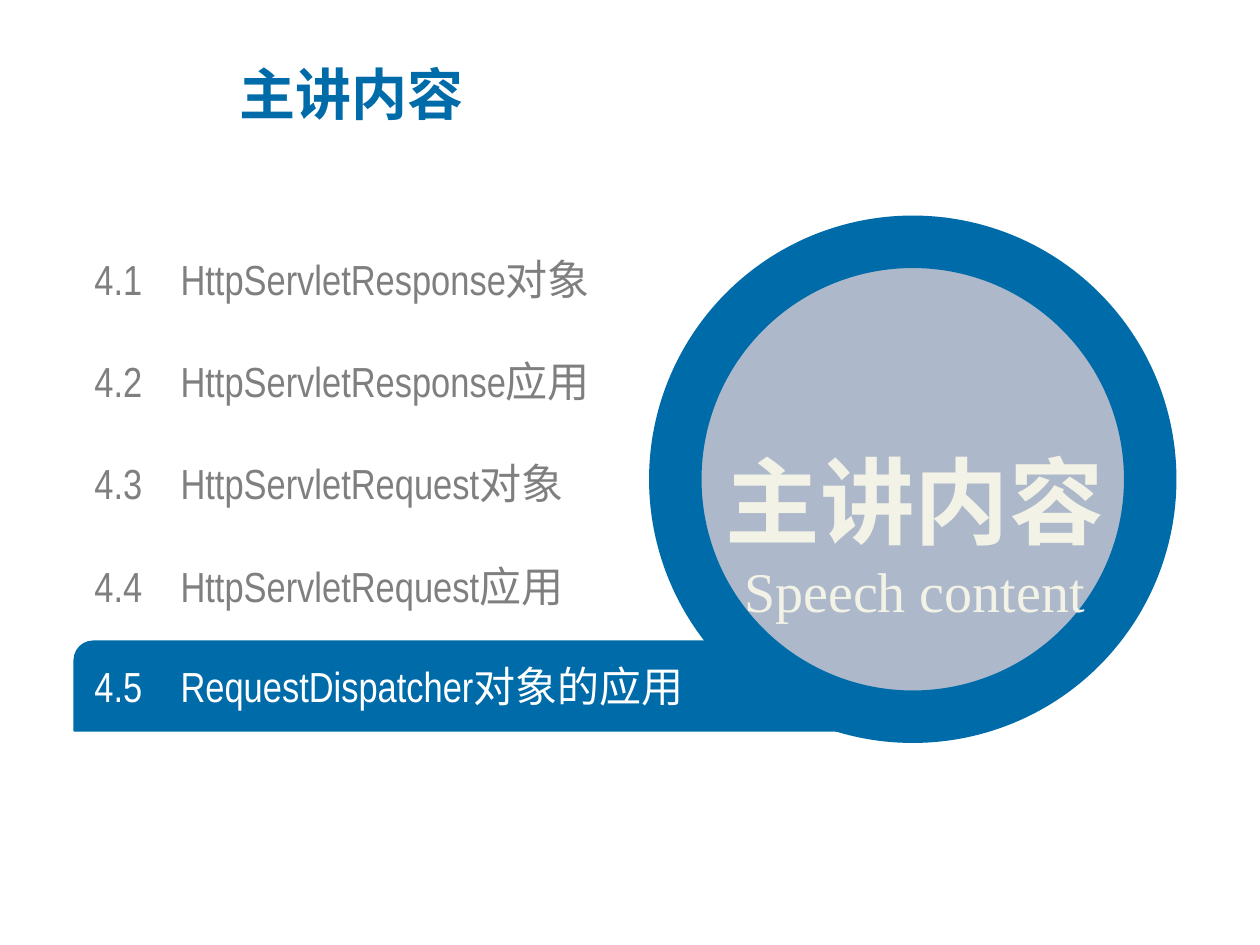
from lxml.etree import SubElement
from pptx import Presentation
from pptx.dml.color import RGBColor as RGB
from pptx.enum.shapes import MSO_SHAPE as SHAPE
from pptx.enum.text import MSO_ANCHOR as ANCHOR, PP_ALIGN as ALIGN
from pptx.oxml.ns import qn
from pptx.util import Pt

HUES = {"blue": "006BA9", "mist": "ADB9CA", "cream": "F2F2E6",
        "gray": "7F7F7F", "white": "FFFFFF"}
HAN = "Noto Sans CJK SC"
LATIN = "Arial Narrow"
TOPICS = ["HttpServletResponse对象", "HttpServletResponse应用",
          "HttpServletRequest对象", "HttpServletRequest应用",
          "RequestDispatcher对象的应用"]
ROW_TOP, ROW_STEP, ROW_HIGH = 144.7, 58.5, 28.8
BAR = (42.5, 366.5, 447.8, 51.1)


def hue(name):
    return RGB.from_string(HUES[name])


def add_form(slide, kind, box, fill, width):
    form = slide.shapes.add_shape(kind, *map(Pt, box))
    form.shadow.inherit = False
    form.fill.solid()
    form.fill.fore_color.rgb = hue(fill)
    form.line.color.rgb = hue("blue")
    form.line.width = Pt(width)
    return form


def add_frame(slide, box, inset=True):
    frame = slide.shapes.add_textbox(*map(Pt, box)).text_frame
    frame.word_wrap = True
    frame.vertical_anchor = ANCHOR.MIDDLE
    if not inset:
        frame.margin_left = frame.margin_right = 0
        frame.margin_top = frame.margin_bottom = 0
    return frame


def add_run(para, text, size, color, face=HAN, bold=False):
    run = para.add_run()
    run.text = text
    font = run.font
    font.size, font.name, font.bold = Pt(size), face, bold
    font.color.rgb = hue(color)
    SubElement(run._r.get_or_add_rPr(), qn("a:ea"), typeface=HAN)


def add_topic(slide, top, num, text, color):
    para = add_frame(slide, (54, top, 374.4, ROW_HIGH), False).paragraphs[0]
    tabs = SubElement(para._p.get_or_add_pPr(), qn("a:tabLst"))
    SubElement(tabs, qn("a:tab"), pos=str(Pt(49.2)), algn="l")
    add_run(para, f"4.{num}\t", 24, color, LATIN)
    add_run(para, text, 24, color, LATIN)


def add_title(slide):
    para = add_frame(slide, (129.6, 31, 502.6, 43.9)).paragraphs[0]
    add_run(para, "主讲内容", 32, "blue", bold=True)


def add_list(slide):
    bar = add_form(slide, SHAPE.ROUND_2_DIAG_RECTANGLE, BAR, "blue", 1)
    bar.adjustments[0], bar.adjustments[1] = 0.21, 0
    *rest, live = TOPICS
    for i, text in enumerate(rest):
        add_topic(slide, ROW_TOP + i * ROW_STEP, i + 1, text, "gray")
    mid = BAR[1] + (BAR[3] - ROW_HIGH) / 2
    add_topic(slide, mid, len(TOPICS), live, "white")


def add_disc(slide):
    add_form(slide, SHAPE.OVAL, (385.9, 138.2, 271.4, 271.4), "mist", 30)
    frame = add_frame(slide, (382.3, 216.7, 280.8, 144))
    head, sub = frame.paragraphs[0], frame.add_paragraph()
    head.alignment = sub.alignment = ALIGN.CENTER
    head.line_spacing = 1.5
    add_run(head, "主讲内容", 54, "cream", bold=True)
    add_run(sub, "Speech content", 32, "cream", "Times New Roman")


def main():
    deck = Presentation()
    deck.slide_width, deck.slide_height = Pt(720), Pt(540)
    slide = deck.slides.add_slide(deck.slide_layouts[6])
    add_list(slide)
    add_disc(slide)
    add_title(slide)
    deck.save("out.pptx")


if __name__ == "__main__":
    main()
